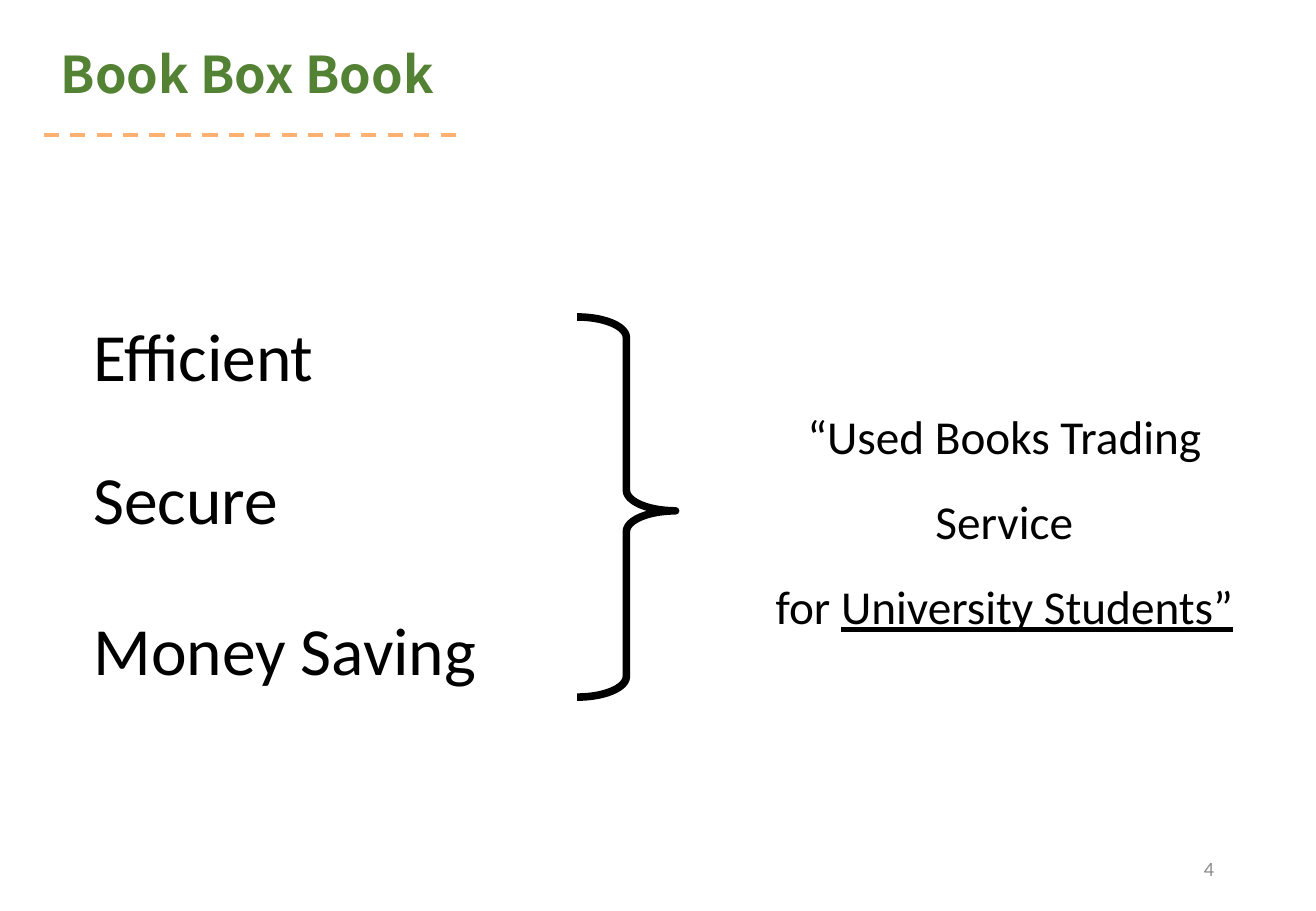
from lxml import etree
from pptx import Presentation
from pptx import util as u
from pptx.dml.color import RGBColor
from pptx.enum import dml, shapes, text
from pptx.oxml.ns import qn

COLORS = {"title": "548235", "rule": "FFB171", "ink": "000000", "number": "8C8C8C"}
BODY_FONT = "Calibri"
TITLE_FONT = "Noto Sans CJK KR"
WIDTH, HEIGHT = u.Inches(10.83), u.Inches(7.5)
LEFT_MARGIN = 3.32


def across(percent):
    return round(WIDTH * percent / 100)


def down(percent):
    return round(HEIGHT * percent / 100)


def area(left, top, width, height):
    """Turn shares of the slide, in percent, into lengths."""
    return across(left), down(top), across(width), down(height)


def add_run(paragraph, words, size, color="ink", font=BODY_FONT, bold=False, underline=False):
    run = paragraph.add_run()
    run.text = words
    run.font.name, run.font.size = font, u.Pt(size)
    run.font.bold, run.font.underline = bold, underline
    run.font.color.rgb = RGBColor.from_string(COLORS[color])


def add_text(slide, place, lines, size, color="ink", align=text.PP_ALIGN.LEFT,
             anchor=text.MSO_ANCHOR.TOP, wrap=True, spacing=1.0):
    """Each line is a list of (words, underlined) runs."""
    frame = slide.shapes.add_textbox(*area(*place)).text_frame
    frame.word_wrap, frame.vertical_anchor = wrap, anchor
    for index, runs in enumerate(lines):
        paragraph = frame.add_paragraph() if index else frame.paragraphs[0]
        paragraph.alignment, paragraph.line_spacing = align, spacing
        for words, underline in runs:
            add_run(paragraph, words, size, color, underline=underline)


def set_title(slide, words):
    title = slide.shapes.title
    title.left, title.top, title.width, title.height = area(LEFT_MARGIN, 4, 49.5, 10)
    frame = title.text_frame
    frame.auto_size = text.MSO_AUTO_SIZE.NONE
    frame.vertical_anchor = text.MSO_ANCHOR.TOP
    frame.margin_left = u.Inches(0.14)
    frame.paragraphs[0].alignment = text.PP_ALIGN.LEFT
    add_run(frame.paragraphs[0], words, 30, "title", TITLE_FONT, bold=True)


def add_dashed_rule(slide, left, right, top):
    rule = slide.shapes.add_connector(
        shapes.MSO_CONNECTOR.STRAIGHT, across(left), down(top), across(right), down(top))
    rule.line.color.rgb = RGBColor.from_string(COLORS["rule"])
    rule.line.width = u.Pt(2.25)
    rule.line.dash_style = dml.MSO_LINE.DASH
    etree.SubElement(rule._element.spPr, qn("a:effectLst"))


def add_brace(slide, place):
    brace = slide.shapes.add_shape(shapes.MSO_SHAPE.RIGHT_BRACE, *area(*place))
    brace.adjustments[0], brace.adjustments[1] = 0.21, 0.51
    brace.shadow.inherit = False
    brace.fill.background()
    brace.line.color.rgb = RGBColor.from_string(COLORS["ink"])
    brace.line.width = u.Pt(4.5)


def main():
    presentation = Presentation()
    presentation.slide_width, presentation.slide_height = WIDTH, HEIGHT
    slide = presentation.slides.add_slide(presentation.slide_layouts[5])

    # Heading
    set_title(slide, "Book Box Book")
    add_dashed_rule(slide, LEFT_MARGIN, 34.9, 14.8)

    # Qualities, gathered by the brace
    for words, top in (("Efficient", 33.87), ("Secure", 49.47), ("Money Saving", 66.13)):
        add_text(slide, (6.19, top, 31.3, 10.27), [[(words, False)]], 40, wrap=False)
    add_brace(slide, (43.86, 34.8, 7.48, 41.73))

    # Conclusion
    add_text(slide, (56.23, 40.93, 40.17, 29.6),
             [[("“Used Books Trading Service", False)],
              [("for ", False), ("University Students”", True)]],
             28, align=text.PP_ALIGN.CENTER, spacing=1.5)

    # Slide number
    add_text(slide, (70.64, 92.67, 22.53, 5.33), [[("4", False)]], 12, "number",
             text.PP_ALIGN.RIGHT, text.MSO_ANCHOR.MIDDLE)

    presentation.save("out.pptx")


if __name__ == "__main__":
    main()
